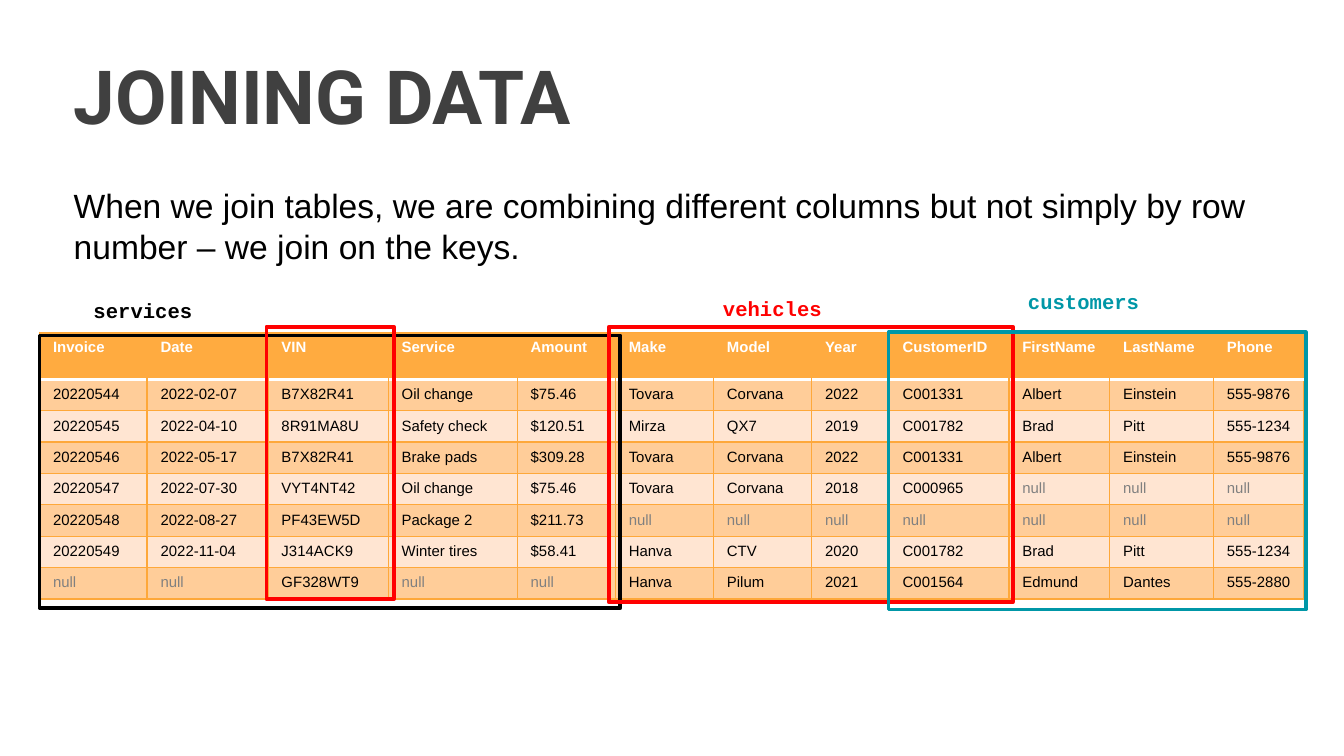
from lxml import etree
from pptx import Presentation
from pptx.dml.color import RGBColor
from pptx.enum import shapes, text
from pptx.oxml import ns
from pptx.util import Pt

ORANGE, GRID, DARK_BAND, LIGHT_BAND = "FFAB40", "FEA83A", "FFCD99", "FFE5D2"
BLACK, WHITE, GREY, RED, TEAL = "000000", "FFFFFF", "808080", "FF0000", "0097A7"

COLUMN_WIDTHS = [57.6, 64.8, 64.4, 69.1, 52.6, 52.6, 52.6, 41.6, 64.1, 54, 55.6, 48.4]
HEADER_HEIGHT, ROW_HEIGHT = 25.2, 16.8

ROWS = [line.split("|") for line in """\
Invoice|Date|VIN|Service|Amount|Make|Model|Year|CustomerID|FirstName|LastName|Phone
20220544|2022-02-07|B7X82R41|Oil change|$75.46|Tovara|Corvana|2022|C001331|Albert|Einstein|555-9876
20220545|2022-04-10|8R91MA8U|Safety check|$120.51|Mirza|QX7|2019|C001782|Brad|Pitt|555-1234
20220546|2022-05-17|B7X82R41|Brake pads|$309.28|Tovara|Corvana|2022|C001331|Albert|Einstein|555-9876
20220547|2022-07-30|VYT4NT42|Oil change|$75.46|Tovara|Corvana|2018|C000965|null|null|null
20220548|2022-08-27|PF43EW5D|Package 2|$211.73|null|null|null|null|null|null|null
20220549|2022-11-04|J314ACK9|Winter tires|$58.41|Hanva|CTV|2020|C001782|Brad|Pitt|555-1234
null|null|GF328WT9|null|null|Hanva|Pilum|2021|C001564|Edmund|Dantes|555-2880""".splitlines()]


def rgb(value):
    return RGBColor.from_string(value)


def write(tf, content, color, **font):
    r = tf.paragraphs[0].add_run()
    r.text = content
    r.font.color.rgb = rgb(color)
    for name, value in font.items():
        setattr(r.font, name, value)


def add_text(slide, box, content, color, frame, **font):
    tf = slide.shapes.add_textbox(*map(Pt, box)).text_frame
    for name, value in frame.items():
        setattr(tf, name, value)
    write(tf, content, color, **font)


def add_heading(slide, left, top):
    inset = {"margin_" + side: Pt(7.2) for side in ("left", "right", "top", "bottom")}
    frame = {"word_wrap": True, **inset}
    add_text(slide, (left, top, 492.5, 66), "JOINING DATA", "404040", frame,
             name="Roboto", size=Pt(40), bold=True)
    add_text(slide, (left, top + 72.7, 645, 66),
             "When we join tables, we are combining different columns but not simply "
             "by row number – we join on the keys.",
             BLACK, frame, name="Arial", size=Pt(18))


def set_border(cell, side, color, width):
    ln = etree.SubElement(cell._tc.get_or_add_tcPr(), ns.qn("a:ln" + side), w=str(Pt(width)))
    if color:
        fill = etree.SubElement(ln, ns.qn("a:solidFill"))
        etree.SubElement(fill, ns.qn("a:srgbClr"), val=color)
    else:
        etree.SubElement(ln, ns.qn("a:noFill"))


def cell_borders(row, col):
    line, heavy, none = (GRID, 0.75), (WHITE, 2), (None, 0)
    last = len(COLUMN_WIDTHS) - 1
    if row == 0:
        return {"L": none if col else line, "R": line if col == last else none,
                "T": line, "B": heavy}
    return {"L": line, "R": line, "T": heavy if row == 1 else line, "B": line}


def add_joined_table(slide, left, top):
    height = HEADER_HEIGHT + ROW_HEIGHT * (len(ROWS) - 1)
    box = (left, top, sum(COLUMN_WIDTHS), height)
    table = slide.shapes.add_table(len(ROWS), len(COLUMN_WIDTHS), *map(Pt, box)).table
    for column, width in zip(table.columns, COLUMN_WIDTHS):
        column.width = Pt(width)
    for i, values in enumerate(ROWS):
        table.rows[i].height = Pt(ROW_HEIGHT if i else HEADER_HEIGHT)
        band = (DARK_BAND if i % 2 else LIGHT_BAND) if i else ORANGE
        for j, value in enumerate(values):
            cell = table.cell(i, j)
            for side, (color, width) in cell_borders(i, j).items():
                set_border(cell, side, color, width)
            cell.fill.solid()
            cell.fill.fore_color.rgb = rgb(band)
            color = WHITE if i == 0 else GREY if value == "null" else BLACK
            write(cell.text_frame, value, color, name="Arial", size=Pt(8), bold=i == 0)


def add_outline(slide, box, color):
    sp = slide.shapes.add_shape(shapes.MSO_SHAPE.RECTANGLE, *map(Pt, box))
    sp.shadow.inherit = False
    sp.fill.background()
    sp.line.color.rgb = rgb(color)
    sp.line.width = Pt(2)


def add_source_table(slide, box, color, name, label_dx, label_dy):
    left, top, width, height = box
    add_outline(slide, box, color)
    frame = {"word_wrap": False, "auto_size": text.MSO_AUTO_SIZE.SHAPE_TO_FIT_TEXT}
    add_text(slide, (left + label_dx, top + label_dy, 7.2 * len(name) + 10, 20.9), name,
             color, frame, name="Courier New", size=Pt(11), bold=True)


def main():
    prs = Presentation()
    prs.slide_width, prs.slide_height = Pt(720), Pt(405)
    slide = prs.slides.add_slide(prs.slide_layouts[6])
    add_heading(slide, 32.4, 19.4)
    add_joined_table(slide, 21.2, 178)
    add_source_table(slide, (21.2, 179.8, 311.2, 146), BLACK, "services", 21.8, -23.6)
    add_source_table(slide, (326.2, 175, 216.4, 147.6), RED, "vehicles", 54, -20.2)
    add_outline(slide, (142.8, 175, 68.2, 146), RED)
    add_source_table(slide, (476, 178, 223.6, 148.5), TEAL, "customers", 67.6, -26.8)
    prs.save("out.pptx")


if __name__ == "__main__":
    main()
